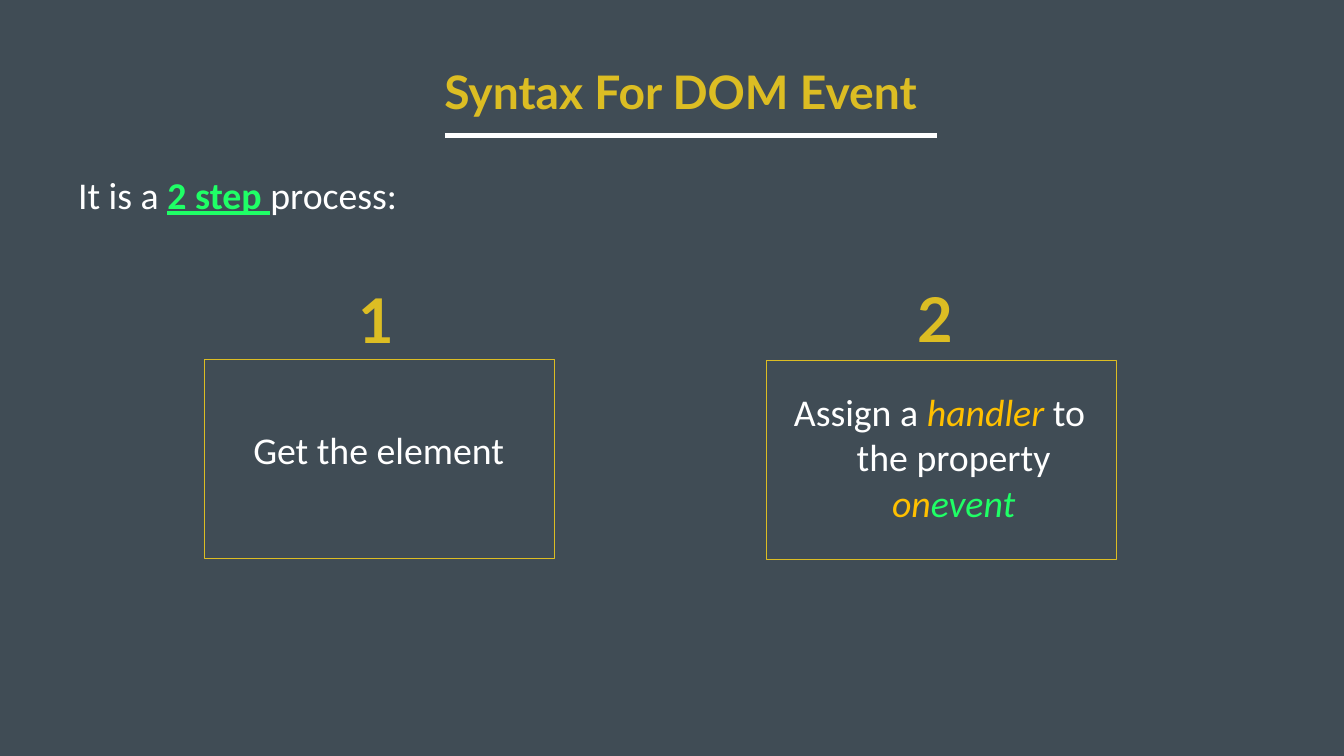
from dataclasses import dataclass

from pptx import Presentation
from pptx.dml.color import RGBColor
from pptx.enum.shapes import MSO_CONNECTOR, MSO_SHAPE
from pptx.enum.text import MSO_ANCHOR, MSO_AUTO_SIZE, PP_ALIGN
from pptx.oxml.ns import qn
from pptx.shapes.base import BaseShape
from pptx.slide import Slide
from pptx.util import Pt

CENTER = PP_ALIGN.CENTER
TOP, MIDDLE = MSO_ANCHOR.TOP, MSO_ANCHOR.MIDDLE
GROW = MSO_AUTO_SIZE.SHAPE_TO_FIT_TEXT
RECTANGLE = MSO_SHAPE.RECTANGLE
STRAIGHT = MSO_CONNECTOR.STRAIGHT


@dataclass(frozen=True)
class Theme:
    background: str = "404C55"
    gold: str = "DCBD23"
    white: str = "FFFFFF"
    green: str = "1FFF66"
    amber: str = "FFC000"
    heading_font: str = "Lato"
    body_font: str = "Calibri"
    title_size: float = 66
    body_size: float = 54
    number_size: float = 88


THEME = Theme()


@dataclass(frozen=True)
class Area:
    left: float
    top: float
    width: float
    height: float


@dataclass(frozen=True)
class Span:
    text: str
    color: str = THEME.white
    bold: bool = False
    italic: bool = False
    underline: bool = False


@dataclass(frozen=True)
class Style:
    font: str = THEME.body_font
    size: float = THEME.body_size
    anchor: MSO_ANCHOR = TOP
    inset: float = 7.2
    hanging: float = 0
    wrap: bool = False


@dataclass(frozen=True)
class Step:
    number: str
    number_area: Area
    frame_area: Area
    text_area: Area
    spans: tuple[Span, ...]
    style: Style


BODY = Style()
TITLE = Style(THEME.heading_font, THEME.title_size)
NUMBER = Style(THEME.heading_font, THEME.number_size, MIDDLE, 5.76)

STEPS = (
    Step(
        "1",
        Area(506.2, 396, 60.5, 118.1),
        Area(291.6, 514.1, 500.4, 283.7),
        Area(352.1, 605.5, 378, 72.7),
        (Span("Get the element"),),
        Style(hanging=40.5),
    ),
    Step(
        "2",
        Area(1304.6, 395.3, 60.5, 118.1),
        Area(1094.4, 515.5, 500.4, 283.7),
        Area(1108.8, 551.5, 466.6, 203.8),
        (
            Span("Assign a "),
            Span("handler", THEME.amber, italic=True),
            Span(" to the property "),
            Span("on", THEME.amber, italic=True),
            Span("event", THEME.green, italic=True),
        ),
        Style(hanging=40.5, wrap=True),
    ),
)


def place(shape: BaseShape, area: Area) -> None:
    shape.left, shape.top = Pt(area.left), Pt(area.top)
    shape.width, shape.height = Pt(area.width), Pt(area.height)


def write(box: BaseShape, spans: tuple[Span, ...], style: Style) -> None:
    frame = box.text_frame
    frame.word_wrap = style.wrap
    frame.auto_size = GROW
    frame.vertical_anchor = style.anchor
    frame.margin_left = frame.margin_right = Pt(style.inset)
    frame.margin_top = frame.margin_bottom = Pt(min(style.inset, 3.6) if style.anchor == TOP else style.inset)
    para = frame.paragraphs[0]
    para.alignment = CENTER
    if style.hanging:
        properties = para._p.get_or_add_pPr()
        properties.set("marL", str(Pt(style.hanging)))
        properties.set("indent", str(-Pt(style.hanging)))
    for span in spans:
        run = para.add_run()
        run.text = span.text
        font = run.font
        font.name, font.size = style.font, Pt(style.size)
        font.bold, font.italic, font.underline = span.bold, span.italic, span.underline
        font.color.rgb = RGBColor.from_string(span.color)


def add_text(page: Slide, area: Area, spans: tuple[Span, ...], style: Style) -> None:
    box = page.shapes.add_textbox(0, 0, 0, 0)
    place(box, area)
    write(box, spans, style)


def add_frame(page: Slide, area: Area) -> None:
    frame = page.shapes.add_shape(RECTANGLE, 0, 0, 0, 0)
    place(frame, area)
    frame.shadow.inherit = False
    frame.fill.background()
    frame.line.color.rgb = RGBColor.from_string(THEME.gold)
    frame.line.width = Pt(1)


def add_underline(page: Slide, left: float, right: float, top: float) -> None:
    line = page.shapes.add_connector(STRAIGHT, Pt(left), Pt(top), Pt(right), Pt(top))
    line.line.color.rgb = RGBColor.from_string(THEME.white)
    line.line.width = Pt(8)
    properties = line._element.spPr
    properties.append(properties.makeelement(qn("a:effectLst"), {}))


def add_step(page: Slide, step: Step) -> None:
    add_text(page, step.text_area, step.spans, step.style)
    add_frame(page, step.frame_area)
    add_text(page, step.number_area, (Span(step.number, THEME.gold, bold=True),), NUMBER)


def main() -> None:
    deck = Presentation()
    deck.slide_width, deck.slide_height = Pt(1920), Pt(1080)
    page = deck.slides.add_slide(deck.slide_layouts[5])
    fill = page.background.fill
    fill.solid()
    fill.fore_color.rgb = RGBColor.from_string(THEME.background)

    title = page.shapes.title
    place(title, Area(605.5, 86.4, 733.7, 87.1))
    write(title, (Span("Syntax For DOM Event", THEME.gold, bold=True),), TITLE)
    add_underline(page, 635.8, 1339.2, 193.7)
    intro = (
        Span("It is a "),
        Span("2 step ", THEME.green, bold=True, underline=True),
        Span("process:"),
    )
    add_text(page, Area(97.9, 241.2, 483.1, 72.7), intro, BODY)
    for step in STEPS:
        add_step(page, step)
    deck.save("out.pptx")


if __name__ == "__main__":
    main()
